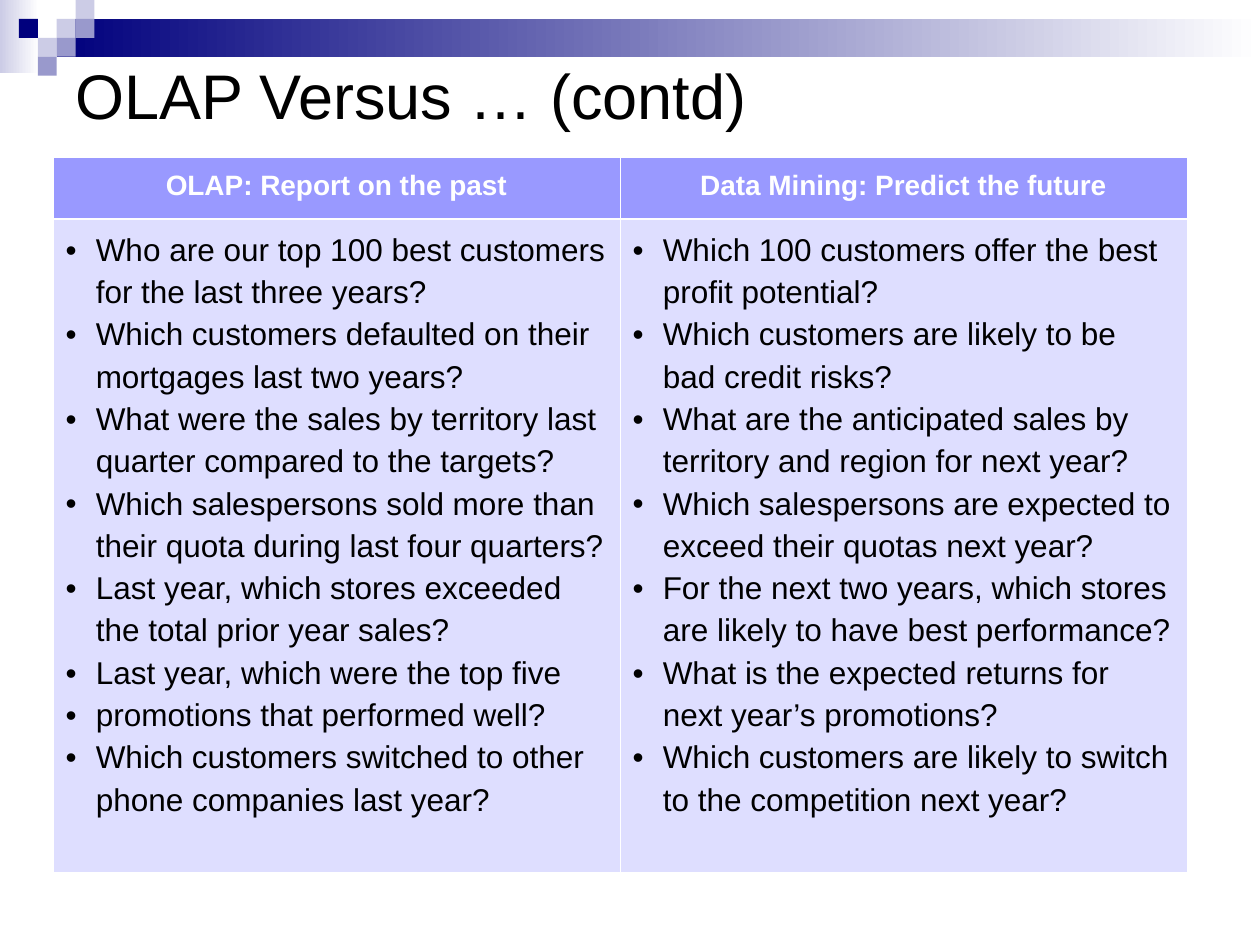
from dataclasses import dataclass

from lxml import etree
from pptx import Presentation
from pptx.dml.color import RGBColor
from pptx.enum import shapes, text
from pptx.oxml.ns import qn
from pptx.util import Inches, Pt

FONT = "Arial"
NAVY, MID, PALE, WHITE, BLACK = "00007D", "9999CC", "CCCCE6", "FFFFFF", "000000"
HEAD, BODY = "9999FF", "DEDEFF"
STEP = 0.15
THIN, THICK = 0.45, 1.47


@dataclass
class Tile:
    col: int
    row: int
    hue: str


@dataclass
class Band:
    left: float
    top: float
    width: float
    height: float
    hue: str


@dataclass
class Column:
    head: str
    items: list[str]


BANDS = [Band(0, 0, 0.31, 0.58, PALE), Band(0.45, 0.15, 9.55, 0.3, NAVY)]
TILES = [
    Tile(3, 1, PALE), Tile(4, 0, PALE), Tile(4, 1, MID), Tile(2, 2, PALE),
    Tile(1, 1, NAVY), Tile(3, 2, MID), Tile(2, 3, MID),
]
COLUMNS = [
    Column("OLAP: Report on the past", [
        "Who are our top 100 best customers for the last three years?",
        "Which customers defaulted on their mortgages last two years?",
        "What were the sales by territory last quarter compared to the targets?",
        "Which salespersons sold more than their quota during last four quarters?",
        "Last year, which stores exceeded the total prior year sales?",
        "Last year, which were the top five",
        "promotions that performed well?",
        "Which customers switched to other phone companies last year?",
    ]),
    Column("Data Mining: Predict the future", [
        "Which 100 customers offer the best profit potential?",
        "Which customers are likely to be bad credit risks?",
        "What are the anticipated sales by territory and region for next year?",
        "Which salespersons are expected to exceed their quotas next year?",
        "For the next two years, which stores are likely to have best performance?",
        "What is the expected returns for next year’s promotions?",
        "Which customers are likely to switch to the competition next year?",
    ]),
]


def rgb(hue: str) -> RGBColor:
    return RGBColor.from_string(hue)


def add_rect(slide, left: float, top: float, width: float, height: float):
    rect = slide.shapes.add_shape(
        shapes.MSO_SHAPE.RECTANGLE,
        Inches(left), Inches(top), Inches(width), Inches(height))
    rect.shadow.inherit = False
    rect.line.fill.background()
    return rect


def add_band(slide, band: Band) -> None:
    """Draw a bar that fades to white at its right end."""
    rect = add_rect(slide, band.left, band.top, band.width, band.height)
    rect.fill.gradient()
    rect.fill.gradient_angle = 0
    for stop, hue, place in zip(rect.fill.gradient_stops, (band.hue, WHITE), (0, 1)):
        stop.color.rgb = rgb(hue)
        stop.position = place


def add_tile(slide, tile: Tile) -> None:
    rect = add_rect(slide, tile.col * STEP, tile.row * STEP, STEP, STEP)
    rect.fill.solid()
    rect.fill.fore_color.rgb = rgb(tile.hue)


def add_run(para, words: str, size: int, hue: str, bold: bool = False) -> None:
    run = para.add_run()
    run.text = words
    run.font.name = FONT
    run.font.size = Pt(size)
    run.font.bold = bold
    run.font.color.rgb = rgb(hue)


def add_bullet(para) -> None:
    props = para._p.get_or_add_pPr()
    props.set("marL", str(Inches(0.24)))
    props.set("indent", str(Inches(-0.24)))
    tint = etree.SubElement(props, qn("a:buClr"))
    etree.SubElement(tint, qn("a:srgbClr"), val=BLACK)
    etree.SubElement(props, qn("a:buFont"), typeface=FONT)
    etree.SubElement(props, qn("a:buChar"), char="•")


def style_cell(cell, hue: str, top: float, bottom: float) -> None:
    """Set the white borders, then the fill, which must follow them."""
    props = cell._tc.get_or_add_tcPr()
    for side, width in zip("LRTB", (THIN, THIN, top, bottom)):
        line = etree.SubElement(props, qn(f"a:ln{side}"), w=str(Pt(width)))
        paint = etree.SubElement(line, qn("a:solidFill"))
        etree.SubElement(paint, qn("a:srgbClr"), val=WHITE)
    cell.fill.solid()
    cell.fill.fore_color.rgb = rgb(hue)


def fill_head(cell, words: str) -> None:
    style_cell(cell, HEAD, THIN, THICK)
    para = cell.text_frame.paragraphs[0]
    para.alignment = text.PP_ALIGN.CENTER
    para.line_spacing = 1.2
    add_run(para, words, 16, WHITE, True)


def fill_body(cell, items: list[str]) -> None:
    style_cell(cell, BODY, THICK, THIN)
    frame = cell.text_frame
    for spot, item in enumerate(items):
        para = frame.add_paragraph() if spot else frame.paragraphs[0]
        add_bullet(para)
        para.line_spacing = 1.2
        add_run(para, item, 18, BLACK)


def add_grid(slide, columns: list[Column]) -> None:
    grid = slide.shapes.add_table(
        2, len(columns), Inches(0.42), Inches(1.25), Inches(9), Inches(5.67)).table
    for row, height in zip(grid.rows, (0.49, 5.18)):
        row.height = Inches(height)
    for spot, column in enumerate(columns):
        grid.columns[spot].width = Inches(4.5)
        fill_head(grid.cell(0, spot), column.head)
        fill_body(grid.cell(1, spot), column.items)


def set_title(slide, words: str) -> None:
    title = slide.shapes.title
    title.left, title.top = Inches(0.5), Inches(0)
    title.width, title.height = Inches(9), Inches(1.5)
    title.text_frame.vertical_anchor = text.MSO_ANCHOR.MIDDLE
    para = title.text_frame.paragraphs[0]
    para.alignment = text.PP_ALIGN.LEFT
    add_run(para, words, 36, BLACK)
    slide.shapes._spTree.append(title._element)  # in front of the bars


def main() -> None:
    deck = Presentation()
    deck.slide_width, deck.slide_height = Inches(10), Inches(7.5)
    slide = deck.slides.add_slide(deck.slide_layouts[5])
    for band in BANDS:
        add_band(slide, band)
    for tile in TILES:
        add_tile(slide, tile)
    set_title(slide, "OLAP Versus … (contd)")
    add_grid(slide, COLUMNS)
    deck.save("out.pptx")


if __name__ == "__main__":
    main()
